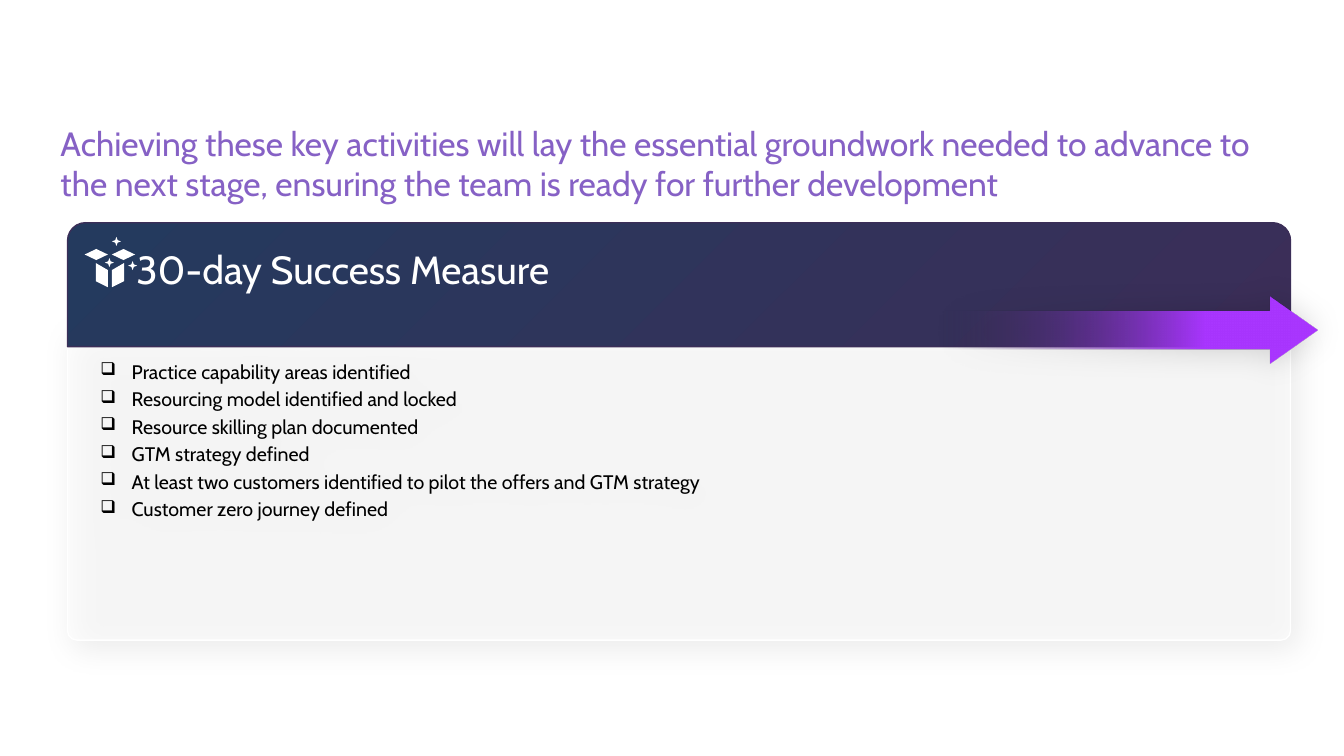
from dataclasses import dataclass

from lxml.etree import SubElement as Sub
from pptx import Presentation
from pptx.dml.color import RGBColor as Rgb
from pptx.enum.shapes import MSO_SHAPE as Kind
from pptx.enum.text import MSO_ANCHOR as Anchor, PP_ALIGN as Align
from pptx.oxml.ns import qn
from pptx.util import Emu, Pt

PX = 9144  # 100 px to the inch


@dataclass(frozen=True)
class Theme:
    font: str = "Cabin"
    white: str = "FFFFFF"
    black: str = "000000"
    navy: str = "243A5E"
    plum: str = "3B2E58"
    violet: str = "A936FF"
    lilac: str = "8661C5"
    lead: int = 24
    head: int = 28
    body: int = 14


def px(n):
    return Emu(n * PX)


def assign(obj, values):
    for name, value in values.items():
        setattr(obj, name, value)


class Deck:
    def __init__(self, theme):
        self.theme = theme
        self.prs = Presentation()
        assign(self.prs, {"slide_width": px(1333), "slide_height": px(750)})
        self.slide = self.prs.slides.add_slide(self.prs.slide_layouts[6])

    def finish(self, shape, fill, line=None, alphas=()):
        """Fill with one colour, or with a gradient given as (stops, angle)."""
        shape.shadow.inherit = False
        if isinstance(fill, str):
            shape.fill.solid()
            shape.fill.fore_color.rgb = Rgb.from_string(fill)
        else:
            stops, angle = fill
            shape.fill.gradient()
            shape.fill.gradient_angle = angle
            for stop, (place, color) in zip(shape.fill.gradient_stops, stops):
                stop.position = place
                stop.color.rgb = Rgb.from_string(color)
        tints = shape._element.spPr.xpath(
            "./a:solidFill/a:srgbClr | ./a:gradFill//a:srgbClr")
        for tint, alpha in zip(tints, alphas):
            Sub(tint, qn("a:alpha"), val=str(alpha * 1000))
        if line:
            shape.line.color.rgb = Rgb.from_string(line)
            shape.line.width = Pt(1)
        else:
            shape.line.fill.background()
        return shape

    def shape(self, kind, box, fill, line=None, adj=(), alphas=()):
        item = self.slide.shapes.add_shape(kind, *map(px, box))
        for i, value in enumerate(adj):
            item.adjustments[i] = value
        return self.finish(item, fill, line, alphas)

    def outline(self, points, fill):
        pen = self.slide.shapes.build_freeform(*points[0], scale=PX)
        pen.add_line_segments(points[1:], close=True)
        return self.finish(pen.convert_to_shape(), fill)

    def shade(self, shape, alpha, blur, dist, angle):
        """Add a soft outer shadow; blur and distance are in points."""
        effects = shape._element.spPr.find(qn("a:effectLst"))
        outer = Sub(effects, qn("a:outerShdw"), blurRad=str(Pt(blur)),
                    dist=str(Pt(dist)), dir=str(angle * 60000), rotWithShape="0")
        color = Sub(outer, qn("a:srgbClr"), val=self.theme.black)
        Sub(color, qn("a:alpha"), val=str(alpha * 1000))

    def label(self, box):
        return self.slide.shapes.add_textbox(*map(px, box))

    def text(self, shape, lines, size, color, inset, bullet=None):
        frame = shape.text_frame
        sides = ("margin_left", "margin_top", "margin_right", "margin_bottom")
        assign(frame, {"word_wrap": True, "vertical_anchor": Anchor.TOP,
                       **dict(zip(sides, map(px, inset)))})
        for i, line in enumerate(lines):
            par = frame.add_paragraph() if i else frame.paragraphs[0]
            assign(par, {"alignment": Align.LEFT,
                         "space_before": Pt(size * 0.2 if i else 0)})
            if bullet:
                props = par._p.get_or_add_pPr()
                props.set("marL", str(px(31)))
                props.set("indent", str(px(-31)))
                Sub(props, qn("a:buSzPct"), val="90000")
                Sub(props, qn("a:buChar"), char=bullet)
            run = par.add_run()
            run.text = line
            assign(run.font, {"name": self.theme.font, "size": Pt(size)})
            run.font.color.rgb = Rgb.from_string(color)

    def icon(self):
        """Draw an open box with three sparkles."""
        white = self.theme.white
        side = [(123, 261), (111, 268), (111, 285), (123, 279)]
        for left in (111, 84):
            self.shape(Kind.DIAMOND, (left, 247, 23, 11), white)
        self.outline(side, white)
        self.outline([(218 - x, y) for x, y in side], white)
        for left, top in ((111, 235), (104, 256), (127, 259)):
            self.shape(Kind.STAR_4_POINT, (left, top, 9, 9), white, adj=(0.19,))


def main():
    theme = Theme()
    deck = Deck(theme)

    panel = deck.shape(Kind.ROUND_2_SAME_RECTANGLE, (67, 327, 1213, 308),
                       theme.white, theme.white, (0, 0.03), (50,))
    deck.shade(panel, 15, 22.5, 7.5, 54)
    deck.text(panel, [
        "Practice capability areas identified",
        "Resourcing model identified and locked",
        "Resource skilling plan documented",
        "GTM strategy defined",
        "At least two customers identified to pilot the offers and GTM strategy",
        "Customer zero journey defined",
    ], theme.body, theme.black, (30, 30, 30, 0), "❑")

    header = deck.shape(Kind.ROUND_2_SAME_RECTANGLE, (67, 221, 1213, 123),
                        (((0, theme.navy), (1, theme.plum)), 315),
                        theme.plum, (0.145, 0))
    deck.text(header, ["30-day Success Measure"], theme.head, theme.white,
              (63, 17, 30, 0))

    lead = deck.label((60, 122, 1213, 81))
    deck.text(lead, [
        "Achieving these key activities will lay the essential groundwork "
        "needed to advance to the next stage, ensuring the team is ready "
        "for further development",
    ], theme.lead, theme.lilac, (0, 0, 0, 0))

    arrow = deck.shape(Kind.RIGHT_ARROW, (936, 294, 371, 67),
                       (((0, theme.plum), (0.7, theme.violet)), 0),
                       adj=(0.57, 0.71), alphas=(0, 100))
    deck.shade(arrow, 16, 23, 0, 0)
    deck.icon()
    deck.prs.save("out.pptx")


if __name__ == "__main__":
    main()
